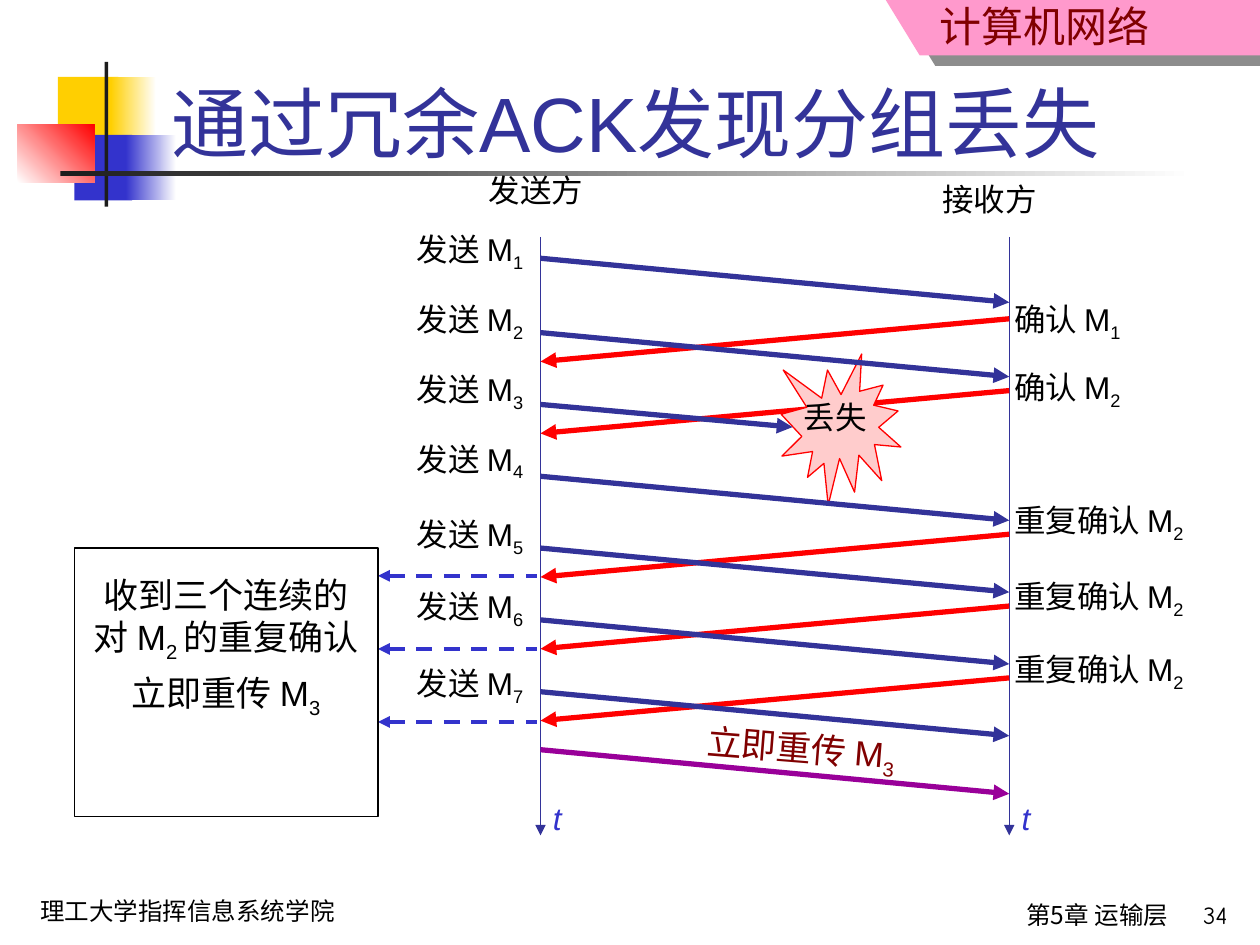
import pptx
import pptx.util
import pptx.dml.color
import pptx.enum.dml
import pptx.enum.shapes
import pptx.enum.text
import pptx.oxml
import pptx.oxml.ns

Inches, Pt = pptx.util.Inches, pptx.util.Pt
SHAPE = pptx.enum.shapes.MSO_SHAPE
ALIGN = pptx.enum.text.PP_ALIGN
ANCHOR = pptx.enum.text.MSO_ANCHOR

THEME = {
    "black": "000000", "dark": "1C1C1C", "white": "FFFFFF", "navy": "333399",
    "blue": "3333CC", "red": "FF0000", "wine": "800000", "plum": "990099",
    "gold": "FFCF01", "pink": "FF99CC", "rose": "FFCCCC",
    "font": "Arial", "cjk": "Noto Sans CJK SC", "comic": "Comic Neue",
    "title": 44, "head": 24, "note": 20, "body": 18, "foot": 14,
}

# Content: a part after "_" is set as a subscript, up to the next "_"
TITLE = "通过冗余ACK发现分组丢失"
SENDS = [  # label, label top, arrow start
    ("发送 M_1", 1.78, 2.05), ("发送 M_2", 2.33, 2.64), ("发送 M_3", 2.89, 3.21),
    ("发送 M_4", 3.44, 3.78), ("发送 M_5", 4.04, 4.35), ("发送 M_6", 4.61, 4.92),
    ("发送 M_7", 5.22, 5.49),
]
LOST = 2  # index of the lost packet
ACKS = [
    ("确认 M_1", 2.33, 2.53), ("确认 M_2", 2.87, 3.10), ("重复确认 M_2", 3.93, 4.24),
    ("重复确认 M_2", 4.53, 4.81), ("重复确认 M_2", 5.11, 5.38),
]
NOTE = ["收到三个连续的", "对 M_2 _的重复确认", "立即重传 M_3"]
AXES = [("发送方", 4.29, 3.78, 1.31), ("接收方", 8.01, 7.38, 1.38)]  # name, x, label
BLOCKS = [  # left, top, width, height, colours, angle
    (0.46, 0.61, 0.48, 0.52, ["gold"], 0),
    (0.88, 0.61, 0.36, 0.52, ["gold", "white"], 0),
    (0.59, 1.07, 0.46, 0.52, ["blue"], 0),
    (1.00, 1.07, 0.40, 0.52, ["blue", "white"], 0),
    (0.14, 0.99, 0.61, 0.46, ["white", "red"], 45),
    (0.83, 0.49, 0.03, 1.15, ["dark"], 0),
    (0.48, 1.36, 9.00, 0.04, ["dark", "white"], 0),
]
LEFT, RIGHT = AXES[0][1], AXES[1][1]
DROP = 0.35  # fall of a message on its way across

deck = pptx.Presentation()
deck.slide_width, deck.slide_height = Inches(10), Inches(7.5)
slide = deck.slides.add_slide(deck.slide_layouts[6])
shapes = slide.shapes


def tint(name):
    return pptx.dml.color.RGBColor.from_string(THEME[name])


def paint(shape, fills, line=None, angle=0):
    shape.shadow.inherit = False
    if len(fills) == 2:
        shape.fill.gradient()
        shape.fill.gradient_angle = angle
        for stop, name in zip(shape.fill.gradient_stops, fills):
            stop.color.rgb = tint(name)
    elif fills:
        shape.fill.solid()
        shape.fill.fore_color.rgb = tint(fills[0])
    else:
        shape.fill.background()
    if line:
        shape.line.color.rgb = tint(line)
        shape.line.width = Pt(0.75)
    else:
        shape.line.fill.background()


def write(par, text, size, color, font="font", align=ALIGN.LEFT):
    par.alignment = align
    par.font.name, par.font.size = THEME[font], Pt(THEME[size])
    par.font.color.rgb = tint(color)
    for i, part in enumerate(text.split("_")):
        run = par.add_run()
        run.text = part
        if i % 2:
            run._r.get_or_add_rPr().set("baseline", "-25000")


def label(text, x, y, w, h, size="body", color="black", font="font",
          align=ALIGN.LEFT):
    box = shapes.add_textbox(*map(Inches, (x, y, w, h)))
    frame = box.text_frame
    frame.word_wrap = True
    if align == ALIGN.LEFT:
        frame.margin_right = 0  # spare room keeps each label on one line
    write(frame.paragraphs[0], text, size, color, font, align)
    return box


def arrow(x1, y1, x2, y2, color, width=3, end="tail", dash=False):
    line = shapes.add_connector(pptx.enum.shapes.MSO_CONNECTOR.STRAIGHT,
                                *map(Inches, (x1, y1, x2, y2)))
    line.line.color.rgb = tint(color)
    line.line.width = Pt(width)
    if dash:
        line.line.dash_style = pptx.enum.dml.MSO_LINE.DASH
    tip = pptx.oxml.parse_xml(
        f'<a:{end}End {pptx.oxml.ns.nsdecls("a")} type="triangle"/>')
    line.line._get_or_add_ln().append(tip)
    line._element.spPr.append(
        pptx.oxml.parse_xml(f'<a:effectLst {pptx.oxml.ns.nsdecls("a")}/>'))


# Course ribbon with its shadow
pen = shapes.build_freeform(Inches(7.03), 0)
pen.add_line_segments([(Inches(x), Inches(y)) for x, y in
                       [(7.3, 0.44), (10, 0.44), (10, 0)]])
ribbon = pen.convert_to_shape()
paint(ribbon, ["pink"])
ribbon._element.spPr.find(pptx.oxml.ns.qn("a:effectLst")).append(
    pptx.oxml.parse_xml(
        f'<a:outerShdw {pptx.oxml.ns.nsdecls("a")} dist="{Pt(10.8)}" dir="{34 * 60000}">'
        f'<a:srgbClr val="{THEME["dark"]}"><a:alpha val="50000"/></a:srgbClr>'
        '</a:outerShdw>'))
course = label("计算机网络", 5.82, 0, 3.4, 0.45, "head", "wine", "cjk", ALIGN.RIGHT)
course.text_frame.margin_top = 0

# Corner blocks and title rule
for x, y, w, h, fills, angle in BLOCKS:
    block = shapes.add_shape(SHAPE.RECTANGLE, *map(Inches, (x, y, w, h)))
    paint(block, fills, angle=angle)

# Title and footer
title = label(TITLE, 1.26, 0.23, 8.52, 1.15, "title", "navy")
title.text_frame.vertical_anchor = ANCHOR.BOTTOM
label("理工大学指挥信息系统学院", 0.22, 7.06, 3.11, 0.34, "foot", font="comic")
label("第5章 运输层", 4.29, 7.09, 5.08, 0.41, "foot", font="cjk", align=ALIGN.RIGHT)
label("34", 9.05, 7.09, 0.79, 0.38, "foot", font="comic", align=ALIGN.RIGHT)

# Time axes
for name, x, tx, ty in AXES:
    label(name, tx, ty, 0.95, 0.4)
    arrow(x, 1.88, x, 6.63, "navy", 0.75)
    time = label("t", x, 6.29, 0.27, 0.4, color="blue")
    time.text_frame.paragraphs[0].font.italic = True

# Acknowledgements
for text, top, y in ACKS:
    label(text, 7.95, top, 1.64 if len(text) > 6 else 1.1, 0.44)
    arrow(RIGHT, y, LEFT, y + 0.34, "red")

# Note on the three duplicates
for i in range(3):
    y = 4.57 + 0.58 * i
    arrow(3, y, 4.26, y, "blue", 2.25, "head", True)
note = shapes.add_shape(SHAPE.RECTANGLE, *map(Inches, (0.59, 4.35, 2.41, 2.13)))
paint(note, [], "black")
frame = note.text_frame
frame.word_wrap = True
frame.vertical_anchor = ANCHOR.TOP
frame.margin_top = Inches(0.2)
for i, text in enumerate(NOTE):
    par = frame.add_paragraph() if i else frame.paragraphs[0]
    write(par, text, "note", "black", align=ALIGN.CENTER)
par.space_before = Pt(5)

# Lost packet
burst = shapes.add_shape(SHAPE.EXPLOSION1, *map(Inches, (6.2, 2.81, 0.95, 1.2)))
paint(burst, ["rose"], "red")
label("丢失", 6.28, 3.11, 0.7, 0.4)

# Sent packets
for i, (text, top, y) in enumerate(SENDS):
    label(text, 3.21, top, 1.1, 0.44)
    if i == LOST:
        arrow(LEFT, y, 6.29, y + 0.18, "navy")
    else:
        arrow(LEFT, y, RIGHT, y + DROP, "navy")

# Fast retransmission
arrow(LEFT, 5.95, RIGHT, 5.95 + DROP, "plum")
label("立即重传 M_3", 5.51, 5.72, 1.76, 0.48, "note", "wine").rotation = 4.6

deck.save("out.pptx")
